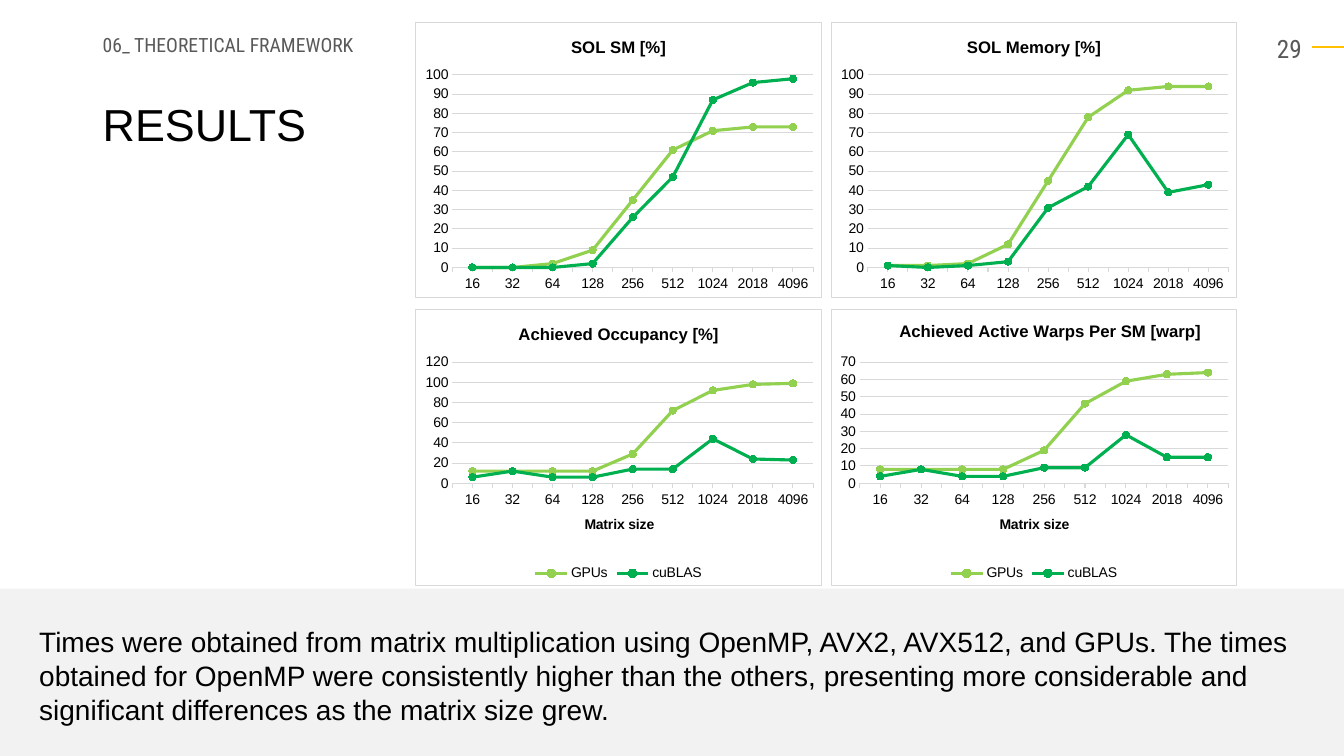
import pptx
import pptx.chart.data
import pptx.dml.color
import pptx.enum.chart
import pptx.enum.shapes
import pptx.enum.text
import pptx.oxml
import pptx.oxml.ns
import pptx.util
from dataclasses import dataclass
from typing import Any

Inches = pptx.util.Inches
Pt = pptx.util.Pt
ANCHOR = pptx.enum.text.MSO_ANCHOR
ALIGN = pptx.enum.text.PP_ALIGN
TICK = pptx.enum.chart.XL_TICK_MARK


@dataclass(frozen=True)
class Theme:
    ink: str = "000000"
    muted: str = "595959"
    accent: str = "FFC000"
    band: str = "F2F2F2"
    paper: str = "FFFFFF"
    rule: str = "D9D9D9"
    series: tuple[str, str] = ("92D050", "00B050")
    sans: str = "Arial"
    condensed: str = "Roboto Condensed"
    title: int = 32
    body: int = 20
    page: int = 18
    section: int = 14
    chart_title: int = 12
    chart: int = 10


@dataclass(frozen=True)
class Label:
    text: str
    box: tuple[float, float, float, float]
    size: int
    font: str
    color: str
    para: dict[str, Any]
    anchor: Any = ANCHOR.TOP


@dataclass(frozen=True)
class Panel:
    title: str
    names: tuple[str, str]
    values: tuple[tuple[int, ...], tuple[int, ...]]
    top: int
    step: int
    plot: tuple[float, float, float, float]
    title_at: tuple[float, float] | None = None
    footer: bool = False


T = Theme()
SIZES = ("16", "32", "64", "128", "256", "512", "1024", "2018", "4096")
PLAIN = ("Series 1", "Series 2")
NAMED = ("GPUs", "cuBLAS")

LABELS = [
    Label("29", (12.17, 0.28, 0.84, 0.35), T.page, T.condensed, T.muted,
          {"alignment": ALIGN.RIGHT}),
    Label("06_ THEORETICAL FRAMEWORK", (0.92, 0.26, 3.33, 0.4), T.section,
          T.condensed, T.muted, {"line_spacing": 0.9}, ANCHOR.MIDDLE),
    Label("RESULTS", (0.92, 0.97, 11.53, 0.5), T.title, T.sans, T.ink,
          {"line_spacing": 0.9}),
    Label("Times were obtained from matrix multiplication using OpenMP, AVX2, "
          "AVX512, and GPUs. The times obtained for OpenMP were consistently "
          "higher than the others, presenting more considerable and "
          "significant differences as the matrix size grew.",
          (0.29, 6.15, 12.81, 1.11), T.body, T.sans, T.ink, {}),
]

PANELS = [
    Panel("SOL SM [%]", PLAIN,
          ((0, 0, 2, 9, 35, 61, 71, 73, 73), (0, 0, 0, 2, 26, 47, 87, 96, 98)),
          100, 10, (0.09, 0.19, 0.89, 0.7)),
    Panel("SOL Memory [%]", PLAIN,
          ((1, 1, 2, 12, 45, 78, 92, 94, 94), (1, 0, 1, 3, 31, 42, 69, 39, 43)),
          100, 10, (0.09, 0.19, 0.89, 0.7)),
    Panel("Achieved Occupancy [%]", NAMED,
          ((12, 12, 12, 12, 29, 72, 92, 98, 99),
           (6, 12, 6, 6, 14, 14, 44, 24, 23)),
          120, 20, (0.09, 0.19, 0.89, 0.44), footer=True),
    Panel("Achieved Active Warps Per SM [warp]", NAMED,
          ((8, 8, 8, 8, 19, 46, 59, 63, 64), (4, 8, 4, 4, 9, 9, 28, 15, 15)),
          70, 10, (0.07, 0.19, 0.91, 0.44), (0.16, 0.03), footer=True),
]


def rgb(color: str) -> pptx.dml.color.RGBColor:
    return pptx.dml.color.RGBColor.from_string(color)


def apply(obj: Any, values: dict[str, Any]) -> None:
    for name, value in values.items():
        setattr(obj, name, value)


def style_font(font: Any, size: int, name: str, color: str,
               bold: bool = False) -> None:
    apply(font, {"size": Pt(size), "name": name, "bold": bold})
    font.color.rgb = rgb(color)


def style_line(line: Any, color: str, width: float) -> None:
    line.color.rgb = rgb(color)
    line.width = Pt(width)


def add_label(slide: Any, label: Label) -> None:
    tf = slide.shapes.add_textbox(*map(Inches, label.box)).text_frame
    apply(tf, {"word_wrap": True, "vertical_anchor": label.anchor})
    p = tf.paragraphs[0]
    apply(p, label.para)
    r = p.add_run()
    r.text = label.text
    style_font(r.font, label.size, label.font, label.color)


def set_title(owner: Any, text: str, size: int) -> None:
    r = owner.text_frame.paragraphs[0].add_run()
    r.text = text
    style_font(r.font, size, T.sans, T.ink, bold=True)


def place(parent: Any, x: float, y: float,
          size: tuple[float, float] | None = None) -> None:
    """Pin a chart title, or the inner plot area when a size is given."""
    parts = '<c:layoutTarget val="inner"/>' if size else ""
    parts += '<c:xMode val="edge"/><c:yMode val="edge"/>'
    parts += f'<c:x val="{x}"/><c:y val="{y}"/>'
    if size:
        parts += f'<c:w val="{size[0]}"/><c:h val="{size[1]}"/>'
    layout = pptx.oxml.parse_xml(
        f'<c:layout {pptx.oxml.ns.nsdecls("c")}>'
        f'<c:manualLayout>{parts}</c:manualLayout></c:layout>')
    old = parent.find(pptx.oxml.ns.qn("c:layout"))
    if old is not None:
        parent.remove(old)
    parent.insert(0 if size else 1, layout)


def add_panel(slide: Any, panel: Panel, x: float, y: float) -> None:
    data = pptx.chart.data.CategoryChartData(number_format="0")
    data.categories = SIZES
    for name, values in zip(panel.names, panel.values):
        data.add_series(name, values)
    chart = slide.shapes.add_chart(
        pptx.enum.chart.XL_CHART_TYPE.LINE_MARKERS, Inches(x), Inches(y),
        Inches(4.03), Inches(2.74), data).chart
    style_font(chart.font, T.chart, T.sans, T.ink)
    set_title(chart.chart_title, panel.title, T.chart_title)
    chart.chart_title.include_in_layout = False
    chart.has_legend = panel.footer

    # Axes
    cat, val = chart.category_axis, chart.value_axis
    apply(cat, {"major_tick_mark": TICK.NONE, "minor_tick_mark": TICK.OUTSIDE})
    apply(val, {"major_tick_mark": TICK.NONE, "minor_tick_mark": TICK.NONE,
                "minimum_scale": 0, "maximum_scale": panel.top,
                "major_unit": panel.step})
    style_line(cat.format.line, T.rule, 0.75)
    style_line(val.major_gridlines.format.line, T.rule, 0.75)
    val.format.line.fill.background()
    if panel.footer:
        set_title(cat.axis_title, "Matrix size", T.chart)
        apply(chart.legend, {
            "position": pptx.enum.chart.XL_LEGEND_POSITION.BOTTOM,
            "include_in_layout": False})

    # Series
    chart.plots[0].vary_by_categories = False
    for s, color in zip(chart.plots[0].series, T.series):
        s.smooth = False
        style_line(s.format.line, color, 2.25)
        apply(s.marker, {"style": pptx.enum.chart.XL_MARKER_STYLE.CIRCLE,
                         "size": 5})
        s.marker.format.fill.solid()
        s.marker.format.fill.fore_color.rgb = rgb(color)
        style_line(s.marker.format.line, color, 0.75)

    # Layout and frame
    root = chart.element
    place(root.chart.plotArea, *panel.plot[:2], panel.plot[2:])
    if panel.title_at:
        place(root.chart.find(pptx.oxml.ns.qn("c:title")), *panel.title_at)
    frame = pptx.oxml.parse_xml(
        f'<c:spPr {pptx.oxml.ns.nsdecls("c", "a")}>'
        f'<a:solidFill><a:srgbClr val="{T.paper}"/></a:solidFill>'
        f'<a:ln w="{Pt(0.75)}"><a:solidFill><a:srgbClr val="{T.rule}"/>'
        '</a:solidFill></a:ln></c:spPr>')
    root.chart.addnext(frame)


def main() -> None:
    prs = pptx.Presentation()
    apply(prs, {"slide_width": Inches(13.33), "slide_height": Inches(7.5)})
    slide = prs.slides.add_slide(prs.slide_layouts[6])

    # Page-number rule
    line = slide.shapes.add_connector(
        pptx.enum.shapes.MSO_CONNECTOR.STRAIGHT,
        Inches(13.33), Inches(0.47), Inches(13.01), Inches(0.47))
    style_line(line.line, T.accent, 1.5)
    line._element.spPr.append(pptx.oxml.parse_xml(
        f'<a:effectLst {pptx.oxml.ns.nsdecls("a")}/>'))

    # Band behind the conclusion
    sp = slide.shapes.add_shape(
        pptx.enum.shapes.MSO_SHAPE.RECTANGLE,
        Inches(0), Inches(5.84), Inches(13.33), Inches(1.72))
    sp.shadow.inherit = False
    sp.fill.solid()
    sp.fill.fore_color.rgb = rgb(T.band)
    sp.line.fill.background()

    # Two-by-two chart grid
    for i, panel in enumerate(PANELS):
        row, col = divmod(i, 2)
        add_panel(slide, panel, 4.12 + 4.12 * col, 0.22 + 2.85 * row)

    # Text
    for label in LABELS:
        add_label(slide, label)

    prs.save("out.pptx")


if __name__ == "__main__":
    main()
